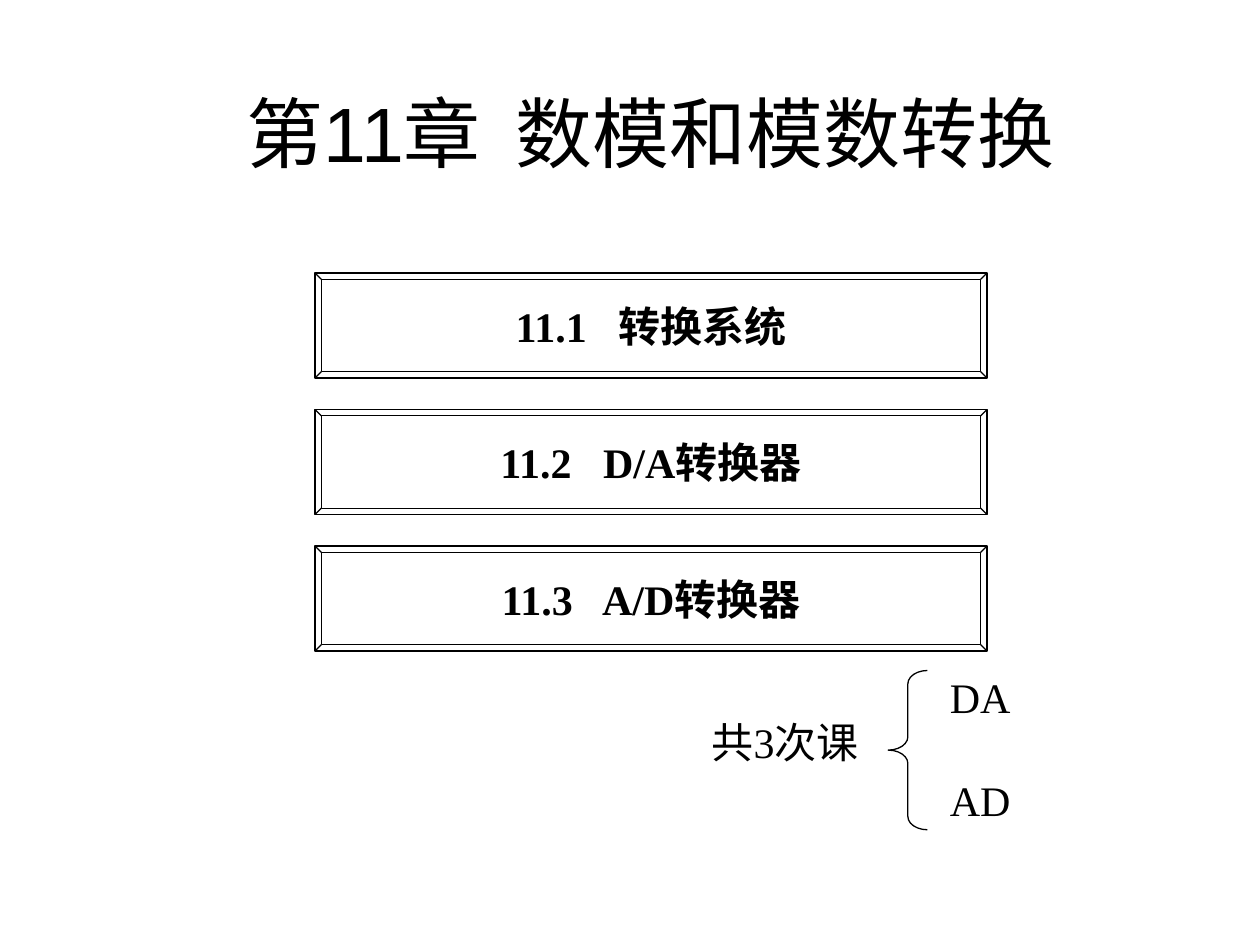
"""Build the chapter 11 opening slide on D/A and A/D conversion."""
import pptx
import pptx.dml.color
import pptx.enum.shapes
import pptx.enum.text
import pptx.util

Pt = pptx.util.Pt
SHAPE = pptx.enum.shapes.MSO_SHAPE
ALIGN = pptx.enum.text.PP_ALIGN
ANCHOR = pptx.enum.text.MSO_ANCHOR
BLACK = pptx.dml.color.RGBColor(0x00, 0x00, 0x00)


def format_text(frame, font_name, size, align, bold=False):
    for paragraph in frame.paragraphs:
        paragraph.alignment = align
        for run in paragraph.runs:
            run.font.name = font_name
            run.font.size = Pt(size)
            run.font.bold = bold
            run.font.color.rgb = BLACK


def add_outline(preset, left, top, width, height):
    outline = slide.shapes.add_shape(preset, Pt(left), Pt(top), Pt(width), Pt(height))
    outline.shadow.inherit = False
    outline.fill.background()
    outline.line.color.rgb = BLACK
    outline.line.width = Pt(0.75)
    return outline


presentation = pptx.Presentation()
presentation.slide_width = Pt(720)
presentation.slide_height = Pt(540)
slide = presentation.slides.add_slide(presentation.slide_layouts[5])

chapter = slide.shapes.title
chapter.left, chapter.top, chapter.width, chapter.height = Pt(66), Pt(30), Pt(612), Pt(90)
chapter.text_frame.text = "第11章  数模和模数转换"
chapter.text_frame.auto_size = pptx.enum.text.MSO_AUTO_SIZE.NONE
chapter.text_frame.vertical_anchor = ANCHOR.MIDDLE
format_text(chapter.text_frame, "Arial", 44, ALIGN.CENTER)

sections = ["11.1   转换系统", "11.2   D/A转换器", "11.3   A/D转换器"]
for index, heading in enumerate(sections):
    section = add_outline(SHAPE.BEVEL, 180, 156 + 78 * index, 384, 60)
    section.adjustments[0] = 0.06
    section.text_frame.text = heading
    section.text_frame.word_wrap = False
    section.text_frame.vertical_anchor = ANCHOR.MIDDLE
    format_text(section.text_frame, "Times New Roman", 24, ALIGN.CENTER, bold=True)

lesson_brace = add_outline(SHAPE.LEFT_BRACE, 507.6, 383.2, 22.4, 91)
lesson_brace.adjustments[0] = 0.34

lesson_count = slide.shapes.add_textbox(Pt(399.6), Pt(406), Pt(109.4), Pt(36))
lesson_count.text_frame.text = "共3次课"
lesson_topics = slide.shapes.add_textbox(Pt(535.7), Pt(380), Pt(49), Pt(120))
lesson_topics.text_frame.text = "DA\nAD"
lesson_topics.text_frame.paragraphs[1].space_before = Pt(30)
for lesson_note in (lesson_count, lesson_topics):
    lesson_note.text_frame.word_wrap = False
    format_text(lesson_note.text_frame, "Times New Roman", 24, ALIGN.LEFT)

presentation.save("out.pptx")
